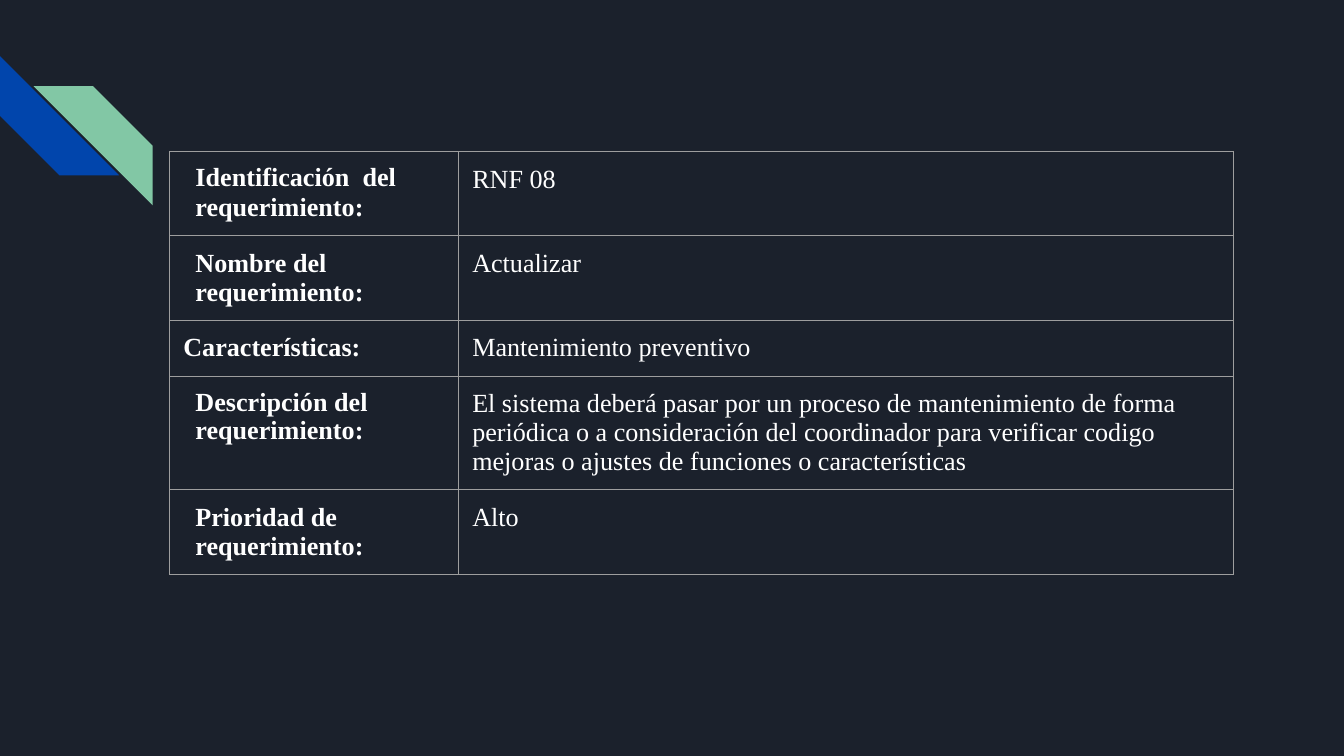
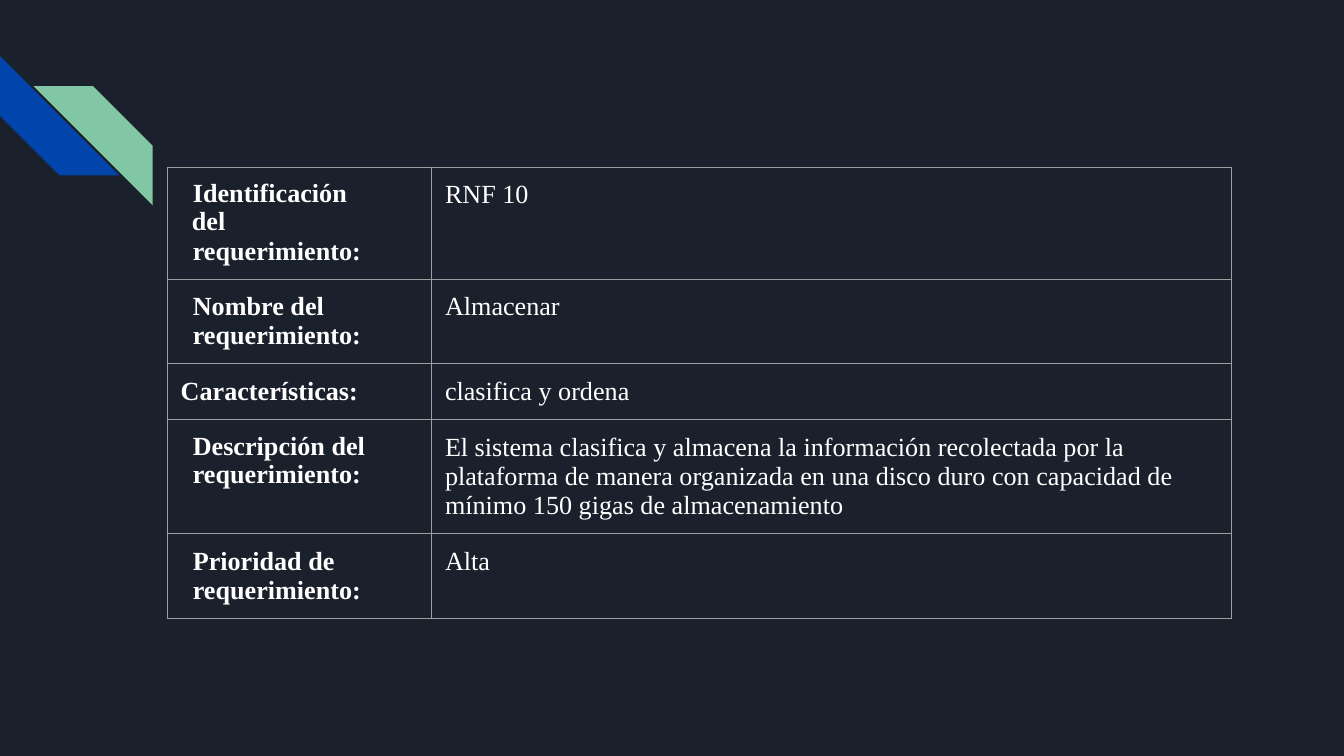
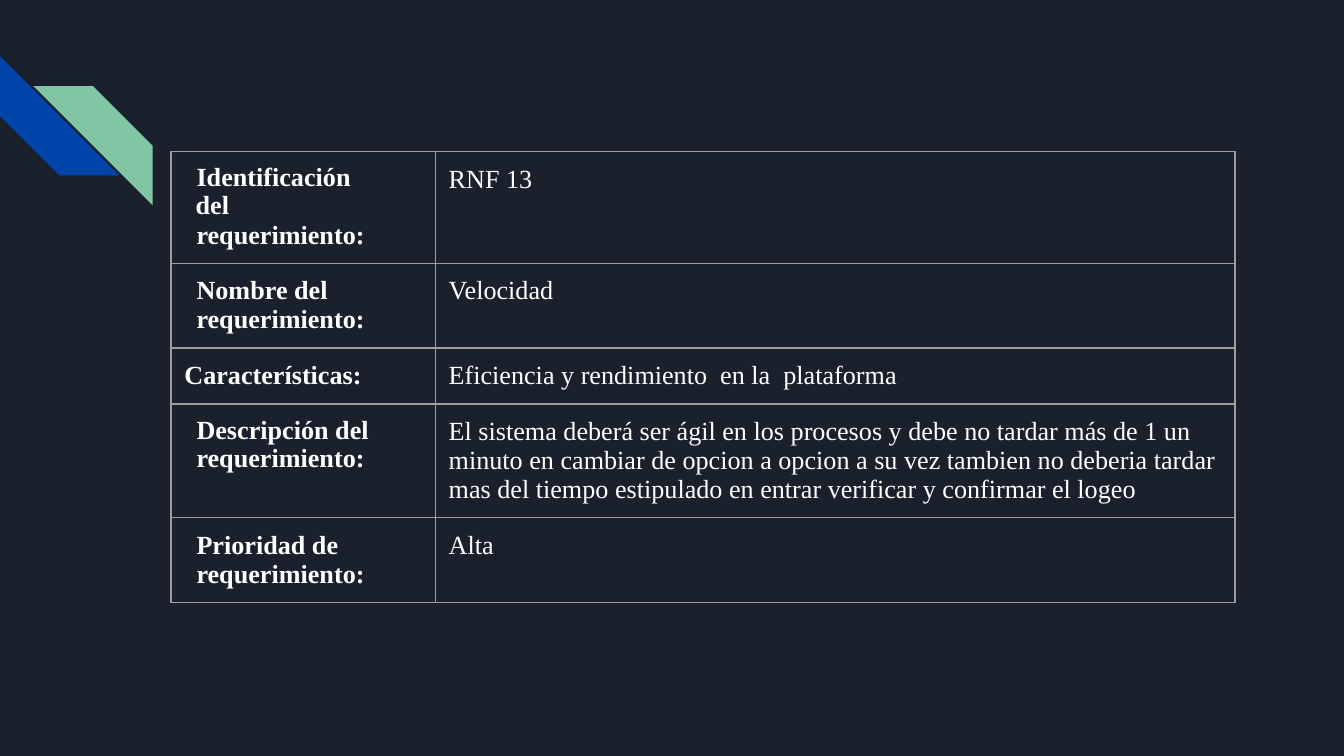
from lxml.etree import SubElement
from pptx import Presentation
from pptx.dml.color import RGBColor
from pptx.enum.shapes import MSO_SHAPE as Shape
from pptx.oxml.ns import qn
from pptx.util import Pt

BACKGROUND, BLUE, GREEN = "1B212C", "0145AC", "82C7A5"
WHITE, GRID = "FFFFFF", "9E9E9E"
TABLE_WIDTH, ROW_HEIGHT, CELL_MARGIN = 570, 30, 7.2
STRIPE_SIZE = 63.8

# Corner stripes: left, top, rotation, colour
STRIPES = [(0, 30.1, 270, BLUE), (18, 46.2, 90, GREEN)]

# Row labels, each a list of paragraphs:
# text, left indent, first-line indent, right indent, line spacing, space before
LABELS = [
    [("Identificación  del", 6, 0.5, 20, 0.96, None),
     ("requerimiento:", 6.5, 0, 0, None, 0.3)],
    [("Nombre del", 6.5, 0, 0, None, None),
     ("requerimiento:", 6.5, 0, 0, None, None)],
    [("Características:", 0, 0, 0, None, None)],
    [("Descripción del requerimiento:", 6.5, 0, 0, 0.96, None)],
    [("Prioridad de", 6.5, 0, 0, None, None),
     ("requerimiento:", 6.5, 0, 0, None, None)],
]

# Requirements: table left, top, label column width, values
REQUIREMENTS = [
    (91, 81.1, 154.8, [
        "RNF 08", "Actualizar", "Mantenimiento preventivo",
        "El sistema deberá pasar por un proceso de mantenimiento de forma "
        "periódica o a consideración del coordinador para verificar codigo "
        "mejoras o ajustes de funciones o características",
        "Alto"]),
    (89.6, 89.6, 141.6, [
        "RNF 10", "Almacenar", "clasifica y ordena",
        "El sistema clasifica y almacena la información recolectada por la "
        "plataforma de manera organizada en una disco duro con capacidad de "
        "mínimo 150 gigas de almacenamiento",
        "Alta"]),
    (91.6, 81.1, 141.6, [
        "RNF 13", "Velocidad", "Eficiencia y rendimiento  en la  plataforma",
        "El sistema deberá ser ágil en los procesos y debe no tardar más de 1 "
        "un minuto en cambiar de opcion a opcion a su vez tambien no deberia "
        "tardar mas del tiempo estipulado en entrar verificar y confirmar el "
        "logeo",
        "Alta"]),
]


def color(value):
    return RGBColor.from_string(value)


def fill_cell(cell, paragraphs, bold):
    """Draw the cell's borders and write its paragraphs."""
    cell.margin_left = cell.margin_right = Pt(CELL_MARGIN)
    cell.margin_top = cell.margin_bottom = Pt(CELL_MARGIN)
    properties = cell._tc.get_or_add_tcPr()
    for side in ("a:lnL", "a:lnR", "a:lnT", "a:lnB"):
        line = SubElement(properties, qn(side), w=str(Pt(0.75)))
        solid = SubElement(line, qn("a:solidFill"))
        SubElement(solid, qn("a:srgbClr"), val=GRID)
    cell.fill.background()

    frame = cell.text_frame
    for index, (text, left, first, right, spacing, before) in enumerate(paragraphs):
        para = frame.add_paragraph() if index else frame.paragraphs[0]
        indents = para._p.get_or_add_pPr()
        indents.set("marL", str(Pt(left)))
        indents.set("marR", str(Pt(right)))
        indents.set("indent", str(Pt(first)))
        if spacing:
            para.line_spacing = spacing
        if before:
            para.space_before = Pt(before)
        span = para.add_run()
        span.text = text
        span.font.name = "Times New Roman"
        span.font.size = Pt(14)
        span.font.bold = bold
        span.font.color.rgb = color(WHITE)


deck = Presentation()
deck.slide_width, deck.slide_height = Pt(720), Pt(405)

# Shared background
backdrop = deck.slide_master.background.fill
backdrop.solid()
backdrop.fore_color.rgb = color(BACKGROUND)

for table_left, table_top, label_width, values in REQUIREMENTS:
    page = deck.slides.add_slide(deck.slide_layouts[6])

    # Corner stripes
    for left, top, rotation, stripe_color in STRIPES:
        stripe = page.shapes.add_shape(
            Shape.DIAGONAL_STRIPE, Pt(left), Pt(top),
            Pt(STRIPE_SIZE), Pt(STRIPE_SIZE))
        stripe.rotation = rotation
        stripe.shadow.inherit = False
        stripe.fill.solid()
        stripe.fill.fore_color.rgb = color(stripe_color)
        stripe.line.fill.background()

    # Requirement table
    table = page.shapes.add_table(
        len(LABELS), 2, Pt(table_left), Pt(table_top),
        Pt(TABLE_WIDTH), Pt(ROW_HEIGHT * len(LABELS))).table
    table.first_row = table.horz_banding = False
    table.columns[0].width = Pt(label_width)
    table.columns[1].width = Pt(TABLE_WIDTH - label_width)
    for row, (label, value) in enumerate(zip(LABELS, values)):
        fill_cell(table.cell(row, 0), label, True)
        fill_cell(table.cell(row, 1), [(value, 0, 0, 0, None, None)], False)

deck.save("out.pptx")
